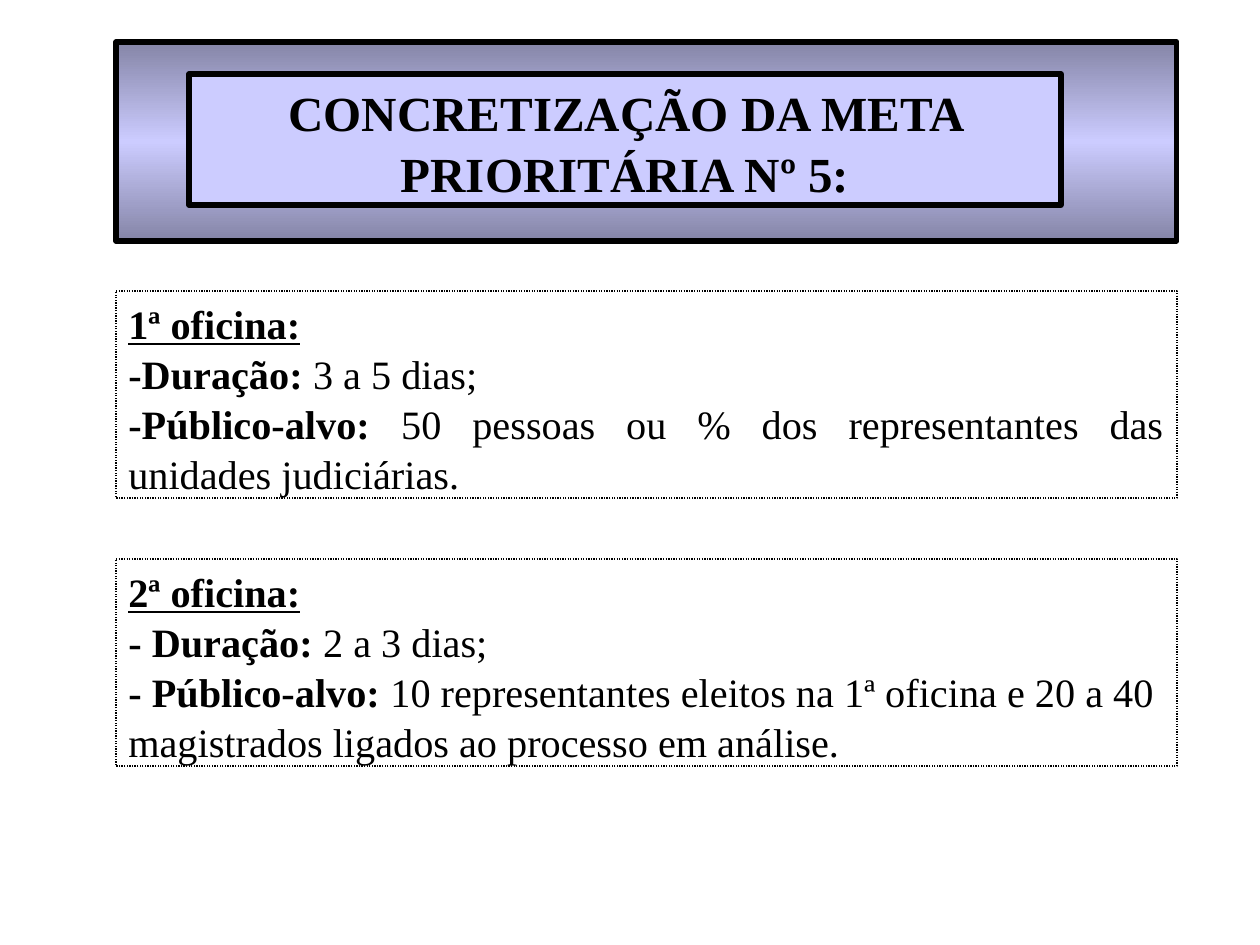
from copy import deepcopy
from pptx import Presentation
from pptx.dml.color import RGBColor
from pptx.enum.dml import MSO_LINE
from pptx.enum.shapes import MSO_SHAPE
from pptx.enum.text import MSO_ANCHOR, PP_ALIGN as ALIGN
from pptx.util import Pt

PX = 914400 // 126
FONT = "Times New Roman"


def color(value):
    return RGBColor.from_string(value)


def add_box(left, top, width, height, line_width, paragraphs=(), size=23, align=ALIGN.LEFT):
    shape = slide.shapes.add_shape(
        MSO_SHAPE.RECTANGLE, *[length * PX for length in (left, top, width, height)])
    shape.shadow.inherit = False
    shape.fill.background()
    shape.line.color.rgb = color("000000")
    shape.line.width = Pt(line_width)
    frame = shape.text_frame
    frame.word_wrap = True
    frame.vertical_anchor = MSO_ANCHOR.TOP
    for index, runs in enumerate(paragraphs):
        paragraph = frame.add_paragraph() if index else frame.paragraphs[0]
        paragraph.alignment = align
        paragraph.line_spacing = 1.04
        for text, bold, underline in runs:
            run = paragraph.add_run()
            run.text = text
            run.font.name = FONT
            run.font.size = Pt(size)
            run.font.bold = bold
            run.font.underline = underline
            run.font.color.rgb = color("000000")
    return shape


presentation = Presentation()
presentation.slide_width = 1260 * PX
presentation.slide_height = 945 * PX
slide = presentation.slides.add_slide(presentation.slide_layouts[6])

banner = add_box(116, 42, 1061, 199, 3)
banner.fill.gradient()
banner.fill.gradient_angle = 90
edge, middle = banner.fill.gradient_stops
edge.color.rgb = color("8585A7")
edge.position = 0
middle.color.rgb = color("CCCCFF")
middle.position = 0.5
stop_list = banner.fill._fill._gradFill.gsLst
last_stop = deepcopy(stop_list[0])
last_stop.set("pos", "100000")
stop_list.append(last_stop)

title = add_box(189, 74, 872, 131, 3,
                [[("CONCRETIZAÇÃO DA META PRIORITÁRIA Nº 5:", True, False)]],
                size=28, align=ALIGN.CENTER)
title.fill.solid()
title.fill.fore_color.rgb = color("CCCCFF")

workshops = [
    (291, ALIGN.JUSTIFY, "1ª oficina:", [
        ("-Duração: ", "3 a 5 dias;"),
        ("-Público-alvo: ", "50 pessoas ou % dos representantes das unidades judiciárias."),
    ]),
    (559, ALIGN.LEFT, "2ª oficina:", [
        ("- Duração: ", "2 a 3 dias;"),
        ("- Público-alvo: ", "10 representantes eleitos na 1ª oficina e 20 a 40 "
                             "magistrados ligados ao processo em análise."),
    ]),
]
for top, align, heading, details in workshops:
    paragraphs = [[(heading, True, True)]]
    for label, value in details:
        paragraphs.append([(label, True, False), (value, False, False)])
    workshop = add_box(116, top, 1061, 207, 0.75, paragraphs, align=align)
    workshop.line.dash_style = MSO_LINE.ROUND_DOT

presentation.save("out.pptx")
